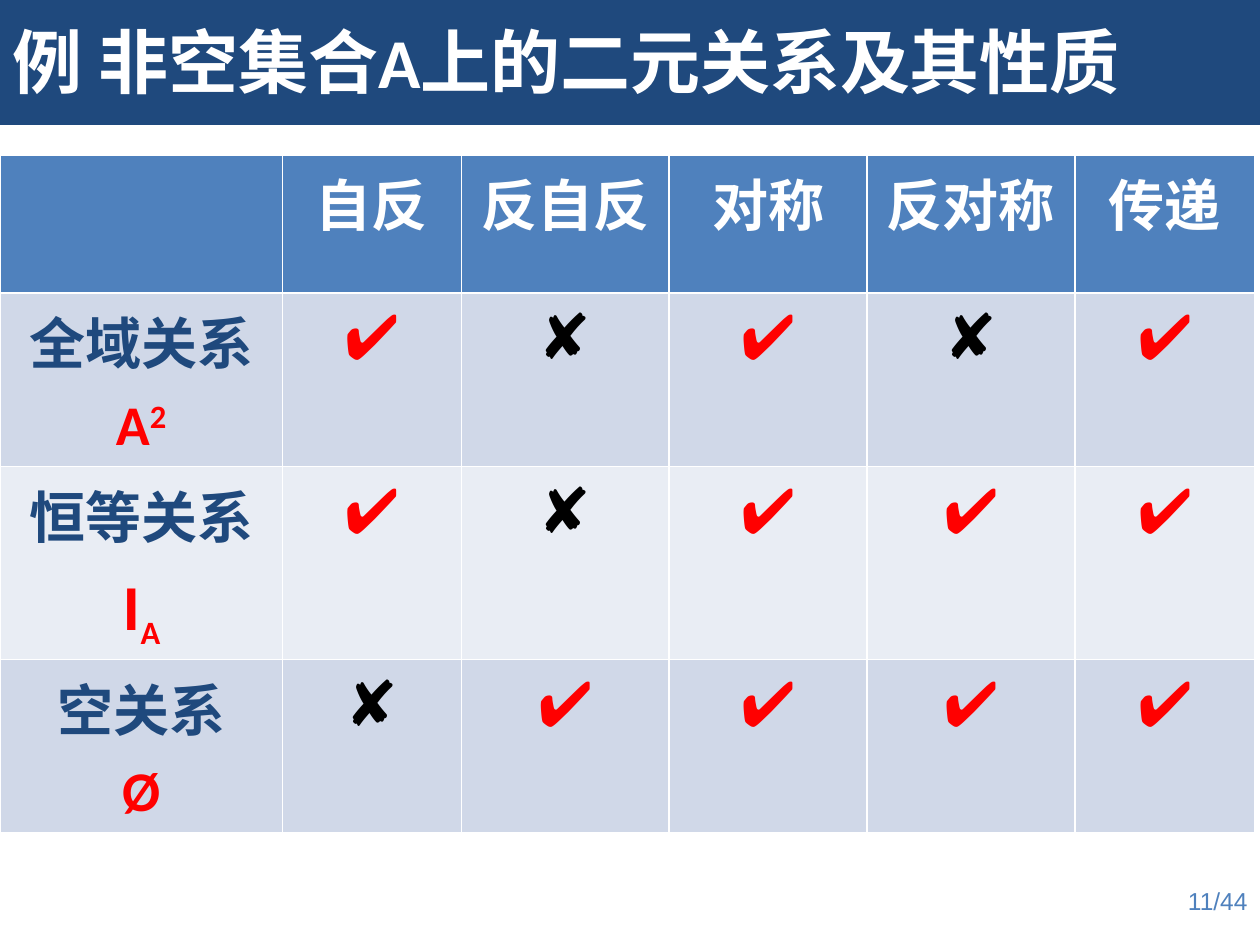
from pptx import Presentation
from pptx.dml.color import RGBColor
from pptx.enum.text import MSO_ANCHOR, PP_ALIGN
from pptx.util import Cm, Pt

COLORS = {
    "navy": "1F497D",
    "blue": "4F81BD",
    "red": "FF0000",
    "black": "000000",
    "white": "FFFFFF",
    "band_dark": "D0D8E8",
    "band_light": "E9EDF4",
}
COLUMN_WIDTHS = [5.69, 3.61, 4.19, 3.99, 4.19, 3.63]
ROW_HEIGHTS = [2.79, 3.28, 3.28, 1.14]
PROPERTIES = ["自反", "反自反", "对称", "反对称", "传递"]
RELATIONS = [
    ("全域关系", [("A", "Calibri", 0), ("2", "Calibri", 30000)], "✔✘✔✘✔"),
    ("恒等关系", [("I", "Noto Sans CJK JP", 0), ("A", "Calibri", -25000)], "✔✘✔✔✔"),
    ("空关系", [("Ø", "Calibri", 0)], "✘✔✔✔✔"),
]


def format_run(run, size, color, bold=True, name="Calibri"):
    """Set the font of one run."""
    run.font.name = name
    run.font.size = Pt(size)
    run.font.bold = bold
    run.font.color.rgb = RGBColor.from_string(COLORS[color])


def fill_solid(target, color):
    """Give a shape or cell a plain fill."""
    target.fill.solid()
    target.fill.fore_color.rgb = RGBColor.from_string(COLORS[color])


def add_title(slide, text, left, top, width, height):
    """Turn the title placeholder into the banner."""
    title = slide.shapes.title
    title.left, title.top, title.width, title.height = left, top, width, height
    fill_solid(title, "navy")
    title.text_frame.text = text
    title.text_frame.vertical_anchor = MSO_ANCHOR.MIDDLE
    paragraph = title.text_frame.paragraphs[0]
    paragraph.alignment = PP_ALIGN.LEFT
    format_run(paragraph.runs[0], 40, "white")


def write_cell(cell, text, size, color):
    """Write one centred line in a cell."""
    cell.text_frame.text = text
    paragraph = cell.text_frame.paragraphs[0]
    paragraph.alignment = PP_ALIGN.CENTER
    format_run(paragraph.runs[0], size, color)


def add_symbol(cell, parts):
    """Add the relation's symbol below its name."""
    paragraph = cell.text_frame.add_paragraph()
    paragraph.alignment = PP_ALIGN.CENTER
    paragraph.space_before = Pt(6.4)
    for text, name, baseline in parts:
        run = paragraph.add_run()
        run.text = text
        format_run(run, 32, "red", name=name)
        if baseline:
            run.font._element.set("baseline", str(baseline))


def add_relation_table(slide, left, top, width, height):
    """Tabulate which properties each relation has."""
    table = slide.shapes.add_table(
        len(ROW_HEIGHTS), len(COLUMN_WIDTHS), left, top, width, height
    ).table
    for column, column_width in zip(table.columns, COLUMN_WIDTHS):
        column.width = Cm(column_width)
    bands = ["blue", "band_dark", "band_light", "band_dark"]
    for row, row_height, band in zip(table.rows, ROW_HEIGHTS, bands):
        row.height = Cm(row_height)
        for cell in row.cells:
            fill_solid(cell, band)
    for column_index, name in enumerate(PROPERTIES, start=1):
        write_cell(table.cell(0, column_index), name, 32, "white")
    for row_index, (name, symbol, marks) in enumerate(RELATIONS, start=1):
        write_cell(table.cell(row_index, 0), name, 32, "navy")
        add_symbol(table.cell(row_index, 0), symbol)
        for column_index, mark in enumerate(marks, start=1):
            color = "red" if mark == "✔" else "black"
            write_cell(table.cell(row_index, column_index), mark, 36, color)


def add_page_number(slide, text, left, top, width, height):
    """Put the page count at the lower right."""
    text_frame = slide.shapes.add_textbox(left, top, width, height).text_frame
    text_frame.word_wrap = True
    text_frame.text = text
    paragraph = text_frame.paragraphs[0]
    paragraph.alignment = PP_ALIGN.RIGHT
    format_run(paragraph.runs[0], 14, "blue", bold=False, name="Arial")


def main():
    """Build and save the slide."""
    presentation = Presentation()
    presentation.slide_width, presentation.slide_height = Cm(25.4), Cm(19.05)
    slide = presentation.slides.add_slide(presentation.slide_layouts[5])
    add_title(
        slide, "例 非空集合A上的二元关系及其性质", Cm(0), Cm(-0.08), Cm(25.4), Cm(2.6)
    )
    add_relation_table(
        slide, Cm(0), Cm(3.12), Cm(sum(COLUMN_WIDTHS)), Cm(sum(ROW_HEIGHTS))
    )
    add_page_number(slide, "11/44", Cm(19.48), Cm(17.73), Cm(5.92), Cm(1.32))
    presentation.save("out.pptx")


if __name__ == "__main__":
    main()
